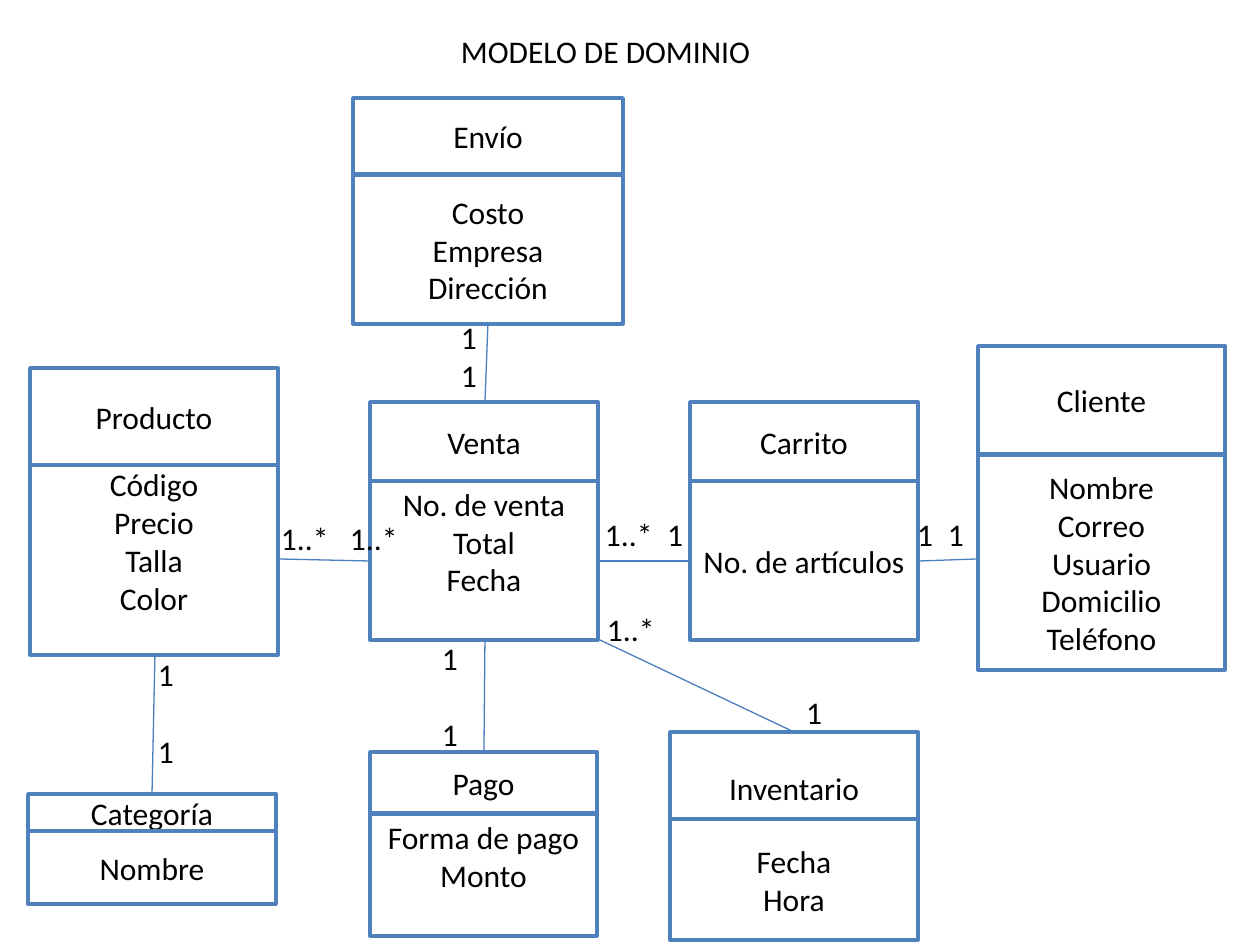
from dataclasses import dataclass

from lxml import etree
from pptx import Presentation
from pptx.dml.color import RGBColor
from pptx.enum.shapes import MSO_CONNECTOR, MSO_SHAPE
from pptx.enum.text import MSO_ANCHOR, PP_ALIGN
from pptx.oxml.ns import qn
from pptx.util import Emu, Pt

STRAIGHT = MSO_CONNECTOR.STRAIGHT
RECTANGLE = MSO_SHAPE.RECTANGLE
MIDDLE = MSO_ANCHOR.MIDDLE
CENTER = PP_ALIGN.CENTER
LEFT = PP_ALIGN.LEFT

BLACK = RGBColor(0x00, 0x00, 0x00)
WHITE = RGBColor(0xFF, 0xFF, 0xFF)
BORDER = RGBColor(0x4F, 0x81, 0xBD)
LINK = RGBColor(0x4B, 0x7E, 0xBC)

FONT = "Calibri"
FONT_SIZE = Pt(18)
EMU_PER_PX = 914400 / 126
LINE_HEIGHT = 38
SIDE_INSET = 12
TITLE_ONLY = 5


@dataclass
class Entity:
    """A domain class: header box, body box and attributes."""
    name: str
    left: int
    top: int
    width: int
    header_height: int
    body_top: int
    body_height: int
    attributes: tuple
    bottom_inset: int = 0


ENTITIES = (
    Entity("Producto", 30, 368, 248, 97, 465, 190,
           ("Código", "Precio", "Talla", "Color"), LINE_HEIGHT),
    Entity("Venta", 370, 402, 228, 79, 481, 159,
           ("No. de venta", "Total", "Fecha"), LINE_HEIGHT),
    Entity("Pago", 370, 752, 227, 61, 814, 122,
           ("Forma de pago", "Monto"), LINE_HEIGHT),
    Entity("Cliente", 978, 346, 247, 108, 455, 215,
           ("Nombre", "Correo", "Usuario", "Domicilio", "Teléfono")),
    Entity("Carrito", 690, 402, 228, 79, 481, 159, ("No. de artículos",)),
    Entity("Envío", 353, 98, 270, 76, 175, 149,
           ("Costo", "Empresa", "Dirección")),
    Entity("Categoría", 28, 794, 248, 37, 831, 73, ("Nombre",)),
    Entity("Inventario", 670, 732, 248, 111, 819, 121, ("Fecha", "Hora")),
)

ASSOCIATIONS = (
    (279, 559, 370, 561),
    (599, 561, 690, 561),
    (919, 561, 977, 559),
    (484, 752, 485, 640),
    (488, 323, 485, 402),
    (152, 794, 155, 654),
    (600, 640, 794, 732),
)

MULTIPLICITIES = (
    ("1..*", 281, 519), ("1..*", 350, 519),
    ("1..*", 605, 515), ("1", 667, 515),
    ("1", 917, 515), ("1", 948, 515),
    ("1", 461, 318), ("1", 461, 356),
    ("1", 442, 639), ("1", 442, 715),
    ("1", 158, 655), ("1", 158, 732),
    ("1..*", 607, 610), ("1", 806, 693),
)


def px(length):
    """Turn pixels into EMU."""
    return Emu(round(length * EMU_PER_PX))


def write_text(frame, lines, alignment, side_inset=0, bottom_inset=0):
    """Fill a text frame with one paragraph per line."""
    frame.word_wrap = side_inset > 0
    frame.vertical_anchor = MIDDLE
    frame.margin_left = frame.margin_right = px(side_inset)
    frame.margin_top = 0
    frame.margin_bottom = px(bottom_inset)
    frame.text = "\n".join(lines)
    for paragraph in frame.paragraphs:
        paragraph.alignment = alignment
        paragraph.font.name = FONT
        paragraph.font.size = FONT_SIZE
        paragraph.font.color.rgb = BLACK


def add_title(slide, text):
    """Place and format the slide title."""
    title = slide.shapes.title
    title.left, title.top, title.width, title.height = map(px, (449, 26, 325, 50))
    write_text(title.text_frame, [text], LEFT, SIDE_INSET)


def add_compartment(slide, frame, lines, bottom_inset=0):
    """Add one bordered box of a domain class."""
    box = slide.shapes.add_shape(RECTANGLE, *map(px, frame))
    box.shadow.inherit = False
    box.fill.solid()
    box.fill.fore_color.rgb = WHITE
    box.line.color.rgb = BORDER
    box.line.width = Pt(2)
    write_text(box.text_frame, lines, CENTER, SIDE_INSET, bottom_inset)


def add_entity(slide, entity):
    """Add the name and attribute boxes of a domain class."""
    header = (entity.left, entity.top, entity.width, entity.header_height)
    body = (entity.left, entity.body_top, entity.width, entity.body_height)
    add_compartment(slide, header, [entity.name])
    add_compartment(slide, body, entity.attributes, entity.bottom_inset)


def add_association(slide, ends):
    """Add a thin line between two classes."""
    line = slide.shapes.add_connector(STRAIGHT, *map(px, ends))
    line.line.color.rgb = LINK
    line.line.width = Pt(0.75)
    etree.SubElement(line._element.spPr, qn("a:effectLst"))


def add_multiplicity(slide, text, left, top):
    """Add a multiplicity label at one end of an association."""
    width = 16 if text == "1" else 48
    label = slide.shapes.add_textbox(*map(px, (left, top, width, LINE_HEIGHT)))
    write_text(label.text_frame, [text], LEFT)


def main():
    """Build the domain model slide."""
    deck = Presentation()
    deck.slide_width = px(1260)
    deck.slide_height = px(945)
    slide = deck.slides.add_slide(deck.slide_layouts[TITLE_ONLY])
    add_title(slide, "MODELO DE DOMINIO")
    for entity in ENTITIES:
        add_entity(slide, entity)
    for ends in ASSOCIATIONS:
        add_association(slide, ends)
    for text, left, top in MULTIPLICITIES:
        add_multiplicity(slide, text, left, top)
    deck.save("out.pptx")


if __name__ == "__main__":
    main()
